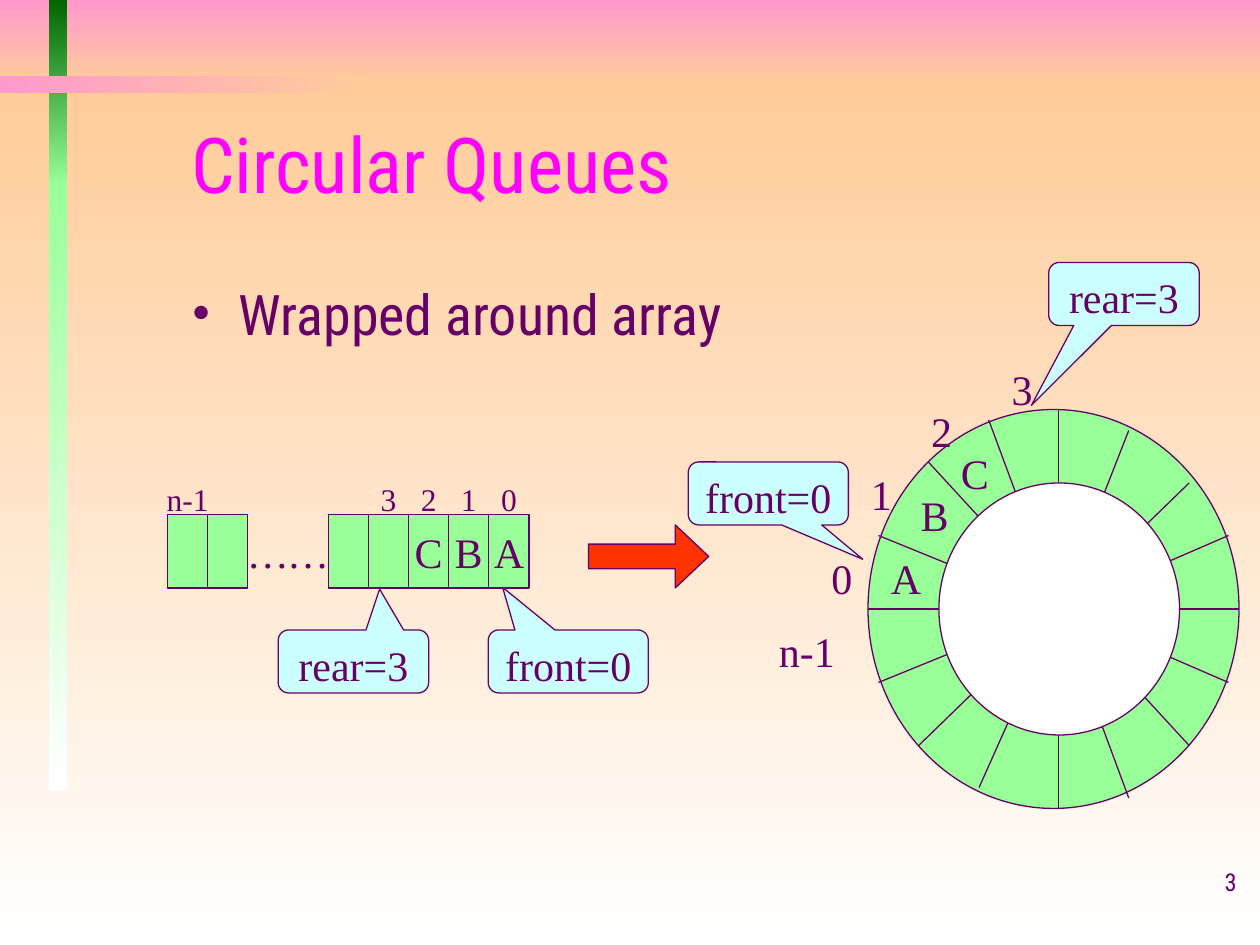
from lxml import etree
from pptx import Presentation
from pptx.dml.color import RGBColor
from pptx.enum import shapes, text
from pptx.oxml import ns
from pptx.util import Pt

COLORS = {
    "pink": "FF99CC", "peach": "FFCC99", "white": "FFFFFF", "forest": "006600",
    "green": "99FF99", "magenta": "FF00FF", "purple": "660066",
    "sky": "CCFFFF", "red": "FF3300",
}
SANS, SERIF = "Roboto Condensed", "Times New Roman"
SHAPE, ALIGN, ANCHOR = shapes.MSO_SHAPE, text.PP_ALIGN, text.MSO_ANCHOR

# Content: boxes are (left, top, width, height) in points
BANDS = [  # box, first colour, last colour, angle
    ((0, 0, 720, 48), "pink", "peach", 270),
    ((0, 48, 720, 492), "peach", "white", 270),
    ((28, 0, 10.3, 106.5), "forest", "green", 270),
    ((28, 105, 10.3, 346.5), "green", "white", 270),
    ((0, 43.2, 208, 10), "pink", "peach", 0),
]
TITLE, BULLET, PAGE = "Circular Queues", "Wrapped around array", "3"

ARRAY = [  # index label, value, drawn as a cell
    ("n-1", "", True), ("", "", True), ("", "…", False), ("", "…", False),
    ("", "", True), ("3", "", True), ("2", "C", True), ("1", "B", True), ("0", "A", True),
]
ARRAY_LEFT, ARRAY_TOP, CELL_WIDTH, CELL_HEIGHT, INDEX_HEIGHT = 95.75, 294, 22.95, 42, 18
LABEL_OVERHANG = 2  # labels reach a little past both sides of their cell

RING, HOLE = (496, 234, 212, 228), (536.5, 276, 137.5, 144)
CENTER = (605, 348)
DIAMETERS = [
    ((496, 348), (708, 348)), ((605, 234), (605, 462)),
    ((530.5, 264), (679.5, 426)), ((525, 426), (679.5, 276)),
]
SPOKE_ENDS = [
    (502, 306), (502, 390), (565, 240), (645, 456),
    (559.5, 450), (645, 246), (702, 306), (702, 390),
]
RING_LABELS = [  # text, left, top
    ("A", 502, 312), ("B", 519, 276), ("C", 542, 252), ("0", 468, 312),
    ("1", 490.5, 264), ("2", 525, 228), ("3", 571, 204), ("n-1", 438, 354),
]
CALLOUTS = [  # text, box, pointer tip
    ("rear=3", (159, 360, 86, 36), (0.174, -1.149)),
    ("front=0", (279, 360, 91.5, 36), (-0.41, -1.177)),
    ("rear=3", (599.3, 150, 86, 36), (-0.615, 1.767)),
    ("front=0", (393.3, 264, 91.5, 36), (0.59, 1.045)),
]
ARROW = (336.3, 300, 68.7, 36)


def color(name):
    return RGBColor.from_string(COLORS[name])


def write(shape, words, size=24, font=SERIF, ink="purple", align=ALIGN.LEFT,
          anchor=ANCHOR.TOP, inset=7.2):
    frame_format = {
        "word_wrap": True, "vertical_anchor": anchor,
        "margin_left": Pt(inset), "margin_right": Pt(inset),
    }
    for name, value in frame_format.items():
        setattr(shape.text_frame, name, value)
    paragraph = shape.text_frame.paragraphs[0]
    paragraph.alignment = align
    run = paragraph.add_run()
    run.text = words
    for name, value in {"size": Pt(size), "name": font}.items():
        setattr(run.font, name, value)
    run.font.color.rgb = color(ink)
    return paragraph


def add_shape(slide, kind, box, fill=None):
    shape = slide.shapes.add_shape(kind, *map(Pt, box))
    shape.shadow.inherit = False
    if fill:
        shape.fill.solid()
        shape.fill.fore_color.rgb = color(fill)
        shape.line.color.rgb = color("purple")
        shape.line.width = Pt(0.75)
    return shape


def add_text(slide, box, words, **format_values):
    return write(slide.shapes.add_textbox(*map(Pt, box)), words, **format_values)


def add_line(slide, start, end):
    line = slide.shapes.add_connector(shapes.MSO_CONNECTOR.STRAIGHT, *map(Pt, start + end))
    line.line.color.rgb = color("purple")
    line.line.width = Pt(0.75)
    etree.SubElement(line.element.spPr, ns.qn("a:effectLst"))


def add_background(slide):
    for box, first, last, angle in BANDS:
        band = add_shape(slide, SHAPE.RECTANGLE, box)
        band.line.fill.background()
        band.fill.gradient()
        band.fill.gradient_angle = angle
        for stop, position, name in zip(band.fill.gradient_stops, (0, 1), (first, last)):
            stop.position = position
            stop.color.rgb = color(name)


def add_headings(slide):
    add_text(slide, (102.3, 48, 612, 90), TITLE, size=44, font=SANS,
             ink="magenta", anchor=ANCHOR.MIDDLE)
    add_text(slide, (563.8, 492, 150, 36), PAGE, size=14, font=SANS, align=ALIGN.RIGHT)
    paragraph = add_text(slide, (102.3, 156, 612, 66), BULLET, size=32, font=SANS)
    properties = paragraph._p.get_or_add_pPr()
    properties.set("marL", str(Pt(27)))
    properties.set("indent", str(Pt(-27)))
    etree.SubElement(properties, ns.qn("a:buFont"), typeface=SERIF)
    etree.SubElement(properties, ns.qn("a:buChar"), char="•")


def add_array(slide):
    centered = {"align": ALIGN.CENTER, "anchor": ANCHOR.MIDDLE, "inset": 0}
    label_width = CELL_WIDTH + 2 * LABEL_OVERHANG
    for column, (index, value, is_cell) in enumerate(ARRAY):
        left = ARRAY_LEFT + column * CELL_WIDTH
        label_left = left - LABEL_OVERHANG
        if is_cell:
            cell = add_shape(slide, SHAPE.RECTANGLE,
                             (left, ARRAY_TOP, CELL_WIDTH, CELL_HEIGHT), "green")
            if value:
                write(cell, value, **centered)
        else:
            add_text(slide, (label_left, ARRAY_TOP, label_width, CELL_HEIGHT),
                     value, **centered)
        if index:
            add_text(slide, (label_left, ARRAY_TOP - INDEX_HEIGHT, label_width, INDEX_HEIGHT),
                     index, size=18, **centered)


def add_ring(slide):
    add_shape(slide, SHAPE.OVAL, RING, "green")
    for start, end in DIAMETERS + [(CENTER, end) for end in SPOKE_ENDS]:
        add_line(slide, start, end)
    add_shape(slide, SHAPE.OVAL, HOLE, "white")
    for words, left, top in RING_LABELS:
        width = 58 if len(words) > 1 else 34.5
        add_text(slide, (left, top, width, 36), words)


def add_pointers(slide):
    for words, box, tip in CALLOUTS:
        callout = add_shape(slide, SHAPE.ROUNDED_RECTANGULAR_CALLOUT, box, "sky")
        callout.adjustments[0], callout.adjustments[1] = tip
        write(callout, words, align=ALIGN.CENTER)
    arrow = add_shape(slide, SHAPE.RIGHT_ARROW, ARROW, "red")
    arrow.adjustments[0], arrow.adjustments[1] = 0.39, 0.53


def main():
    presentation = Presentation()
    presentation.slide_width, presentation.slide_height = Pt(720), Pt(540)
    slide = presentation.slides.add_slide(presentation.slide_layouts[6])
    for add_part in (add_background, add_headings, add_ring, add_array, add_pointers):
        add_part(slide)
    presentation.save("out.pptx")


if __name__ == "__main__":
    main()
